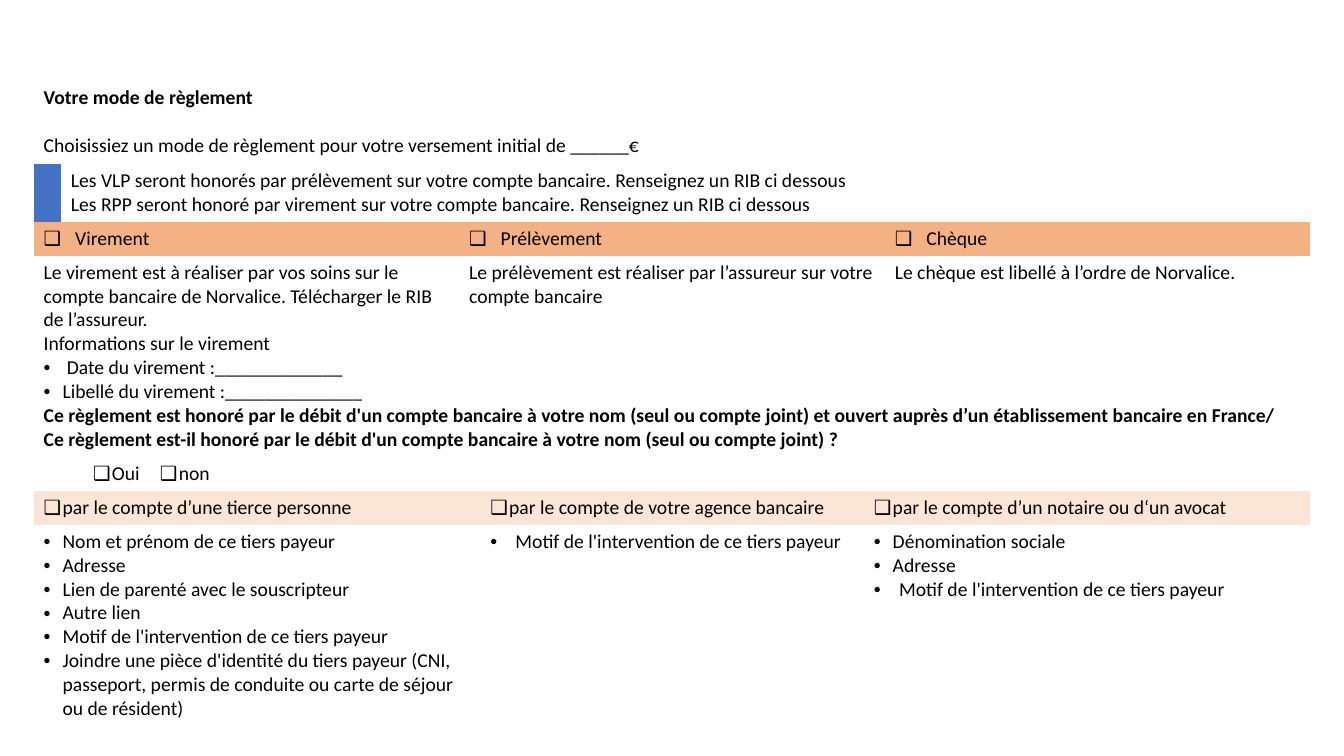
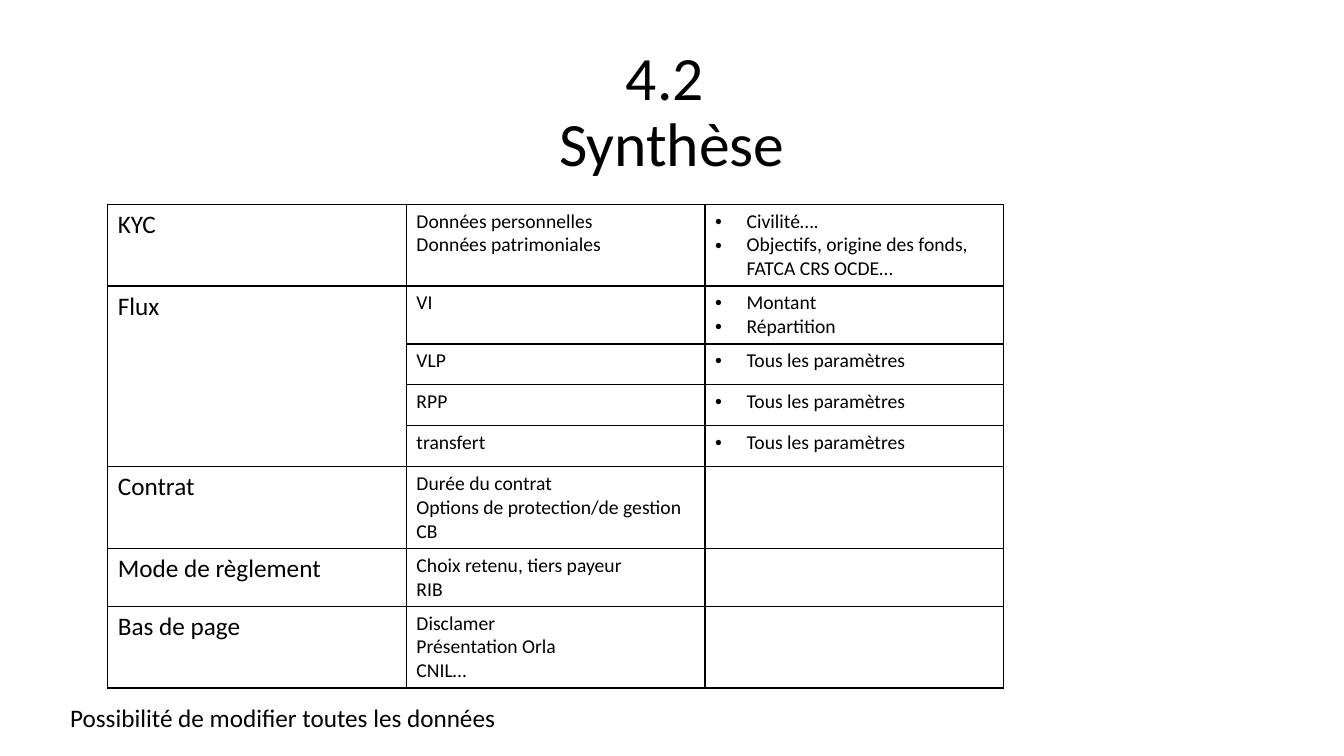
"""Build the payment method form and the summary slide."""
from dataclasses import dataclass

import lxml.etree
import pptx
import pptx.dml.color
import pptx.enum.text
import pptx.oxml.ns
import pptx.util

Pt = pptx.util.Pt
qn = pptx.oxml.ns.qn
ALIGN = pptx.enum.text.PP_ALIGN


@dataclass(frozen=True)
class Theme:
    """Colours, fonts and sizes shared by the slides."""
    ink: str = "000000"
    marker: str = "4472C4"
    choice: str = "F4B183"
    payer: str = "FBE5D6"
    font: str = "Calibri"
    bullet_font: str = "Arial"
    title: int = 44
    label: int = 18
    body: int = 14
    border: int = 1
    no_grid: str = "{2D5ABB26-0587-4C30-8999-92F81FD0307C}"


@dataclass(frozen=True)
class Box:
    """A rectangle in points."""
    left: float
    top: float
    width: float
    height: float

    def lengths(self):
        """Return the four lengths ready for a shape."""
        return [Pt(value) for value in (self.left, self.top, self.width, self.height)]


@dataclass(frozen=True)
class Line:
    """One paragraph and its look."""
    text: str
    bullet: str = ""
    indent: float = 0
    bold: bool = False
    size: int = Theme.body
    align: ALIGN = ALIGN.LEFT
    before: float = 0


@dataclass(frozen=True)
class Cell:
    """One table cell, with its spans and fill."""
    row: int
    column: int
    lines: tuple = ()
    across: int = 1
    down: int = 1
    fill: str = ""


THEME = Theme()


def plain(*texts):
    """Return unmarked lines."""
    return tuple(Line(text) for text in texts)


def dots(*texts, indent=13.5):
    """Return lines with round bullets."""
    return tuple(Line(text, "•", indent) for text in texts)


def tick(text, indent=13.5, align=ALIGN.LEFT):
    """Return one line with a check box."""
    return (Line(text, "❑", indent, align=align),)


def format_runs(para, size, bold=False):
    """Apply the theme font to the runs of a paragraph."""
    for span in para.runs:
        span.font.name = THEME.font
        span.font.size = Pt(size)
        span.font.bold = bold
        span.font.color.rgb = pptx.dml.color.RGBColor.from_string(THEME.ink)


def write_lines(frame, lines):
    """Write lines into a text frame."""
    frame.text = "\n".join(line.text for line in lines)
    for para, line in zip(frame.paragraphs, lines):
        para.alignment = line.align
        if line.before:
            para.space_before = Pt(line.before)
        if line.bullet:
            properties = para._p.get_or_add_pPr()
            properties.set("marL", str(int(Pt(line.indent))))
            properties.set("indent", str(-int(Pt(line.indent))))
            lxml.etree.SubElement(properties, qn("a:buFont"), typeface=THEME.bullet_font)
            lxml.etree.SubElement(properties, qn("a:buChar"), char=line.bullet)
        format_runs(para, line.size, line.bold)


def draw_borders(cell):
    """Draw the four borders of a table cell."""
    properties = cell._tc.get_or_add_tcPr()
    for side in ("a:lnL", "a:lnR", "a:lnT", "a:lnB"):
        edge = lxml.etree.SubElement(properties, qn(side), w=str(int(Pt(THEME.border))))
        fill = lxml.etree.SubElement(edge, qn("a:solidFill"))
        lxml.etree.SubElement(fill, qn("a:srgbClr"), val=THEME.ink)


def add_grid(page, box, columns, rows, cells, bordered=False):
    """Place a table whose columns and rows have the given lengths."""
    table = page.shapes.add_table(len(rows), len(columns), *box.lengths()).table
    table.first_row = False
    table.horz_banding = False
    table._tbl.tblPr.find(qn("a:tableStyleId")).text = THEME.no_grid
    for column, width in zip(table.columns, columns):
        column.width = Pt(width)
    for row, height in zip(table.rows, rows):
        row.height = Pt(height)
    for cell in table.iter_cells():
        if bordered:
            draw_borders(cell)
        cell.fill.background()
    for item in cells:
        cell = table.cell(item.row, item.column)
        if item.across > 1 or item.down > 1:
            cell.merge(table.cell(item.row + item.down - 1, item.column + item.across - 1))
        if item.fill:
            cell.fill.solid()
            cell.fill.fore_color.rgb = pptx.dml.color.RGBColor.from_string(item.fill)
        if item.lines:
            write_lines(cell.text_frame, item.lines)


def add_payment_choice(page, box):
    """Place the table of payment methods."""
    intro = (Line("Votre mode de règlement", bold=True),
             Line("Choisissiez un mode de règlement pour votre versement initial de ______€",
                  before=17))
    transfer = (plain("Le virement est à réaliser par vos soins sur le compte bancaire de "
                      "Norvalice. Télécharger le RIB de l’assureur.",
                      "Informations sur le virement")
                + dots("Date du virement :_____________", indent=16.5)
                + dots("Libellé du virement :______________"))
    third = box.width / 3
    marker = 19.5
    add_grid(page, box, (marker, third - marker, third, third), (59, 41, 24, 107), (
        Cell(0, 0, intro, across=4),
        Cell(1, 0, fill=THEME.marker),
        Cell(1, 1, plain(
            "Les VLP seront honorés par prélèvement sur votre compte bancaire. "
            "Renseignez un RIB ci dessous",
            "Les RPP seront honoré par virement sur votre compte bancaire. "
            "Renseignez un RIB ci dessous"), across=3),
        Cell(2, 0, tick("Virement", 22.5), across=2, fill=THEME.choice),
        Cell(2, 2, tick("Prélèvement", 22.5), fill=THEME.choice),
        Cell(2, 3, tick("Chèque", 22.5), fill=THEME.choice),
        Cell(3, 0, transfer, across=2),
        Cell(3, 2, plain("Le prélèvement est réaliser par l’assureur sur votre compte bancaire")),
        Cell(3, 3, plain("Le chèque est libellé à l’ordre de Norvalice.")),
    ))


def add_payer_choice(page, box):
    """Place the table of third-party payers."""
    question = ("Ce règlement est honoré par le débit d'un compte bancaire à votre nom "
                "(seul ou compte joint) et ouvert auprès d’un établissement bancaire en "
                "France/ Ce règlement est-il honoré par le débit d'un compte bancaire à "
                "votre nom (seul ou compte joint) ?")
    reason = "Motif de l'intervention de ce tiers payeur"
    person = dots("Nom et prénom de ce tiers payeur", "Adresse",
                  "Lien de parenté avec le souscripteur", "Autre lien", reason,
                  "Joindre une pièce d'identité du tiers payeur (CNI, passeport, permis "
                  "de conduite ou carte de séjour ou de résident)")
    add_grid(page, box, (83, 236, 274, box.width - 593), (41, 24, 24, 144), (
        Cell(0, 0, (Line(question, bold=True),), across=4),
        Cell(1, 0, tick("Oui", align=ALIGN.RIGHT)),
        Cell(1, 1, tick("non"), across=3),
        Cell(2, 0, tick("par le compte d’une tierce personne"), across=2, fill=THEME.payer),
        Cell(2, 2, tick("par le compte de votre agence bancaire"), fill=THEME.payer),
        Cell(2, 3, tick("par le compte d’un notaire ou d‘un avocat"), fill=THEME.payer),
        Cell(3, 0, person, across=2),
        Cell(3, 2, dots(reason, indent=18)),
        Cell(3, 3, dots("Dénomination sociale", "Adresse") + dots(reason, indent=18)),
    ))


def add_title(page, box, text):
    """Move and format the title placeholder."""
    title = page.shapes.title
    title.left, title.top, title.width, title.height = box.lengths()
    frame = title.text_frame
    frame.text = text
    frame.auto_size = pptx.enum.text.MSO_AUTO_SIZE.NONE
    frame.vertical_anchor = pptx.enum.text.MSO_ANCHOR.MIDDLE
    para = frame.paragraphs[0]
    para.alignment = ALIGN.CENTER
    para.line_spacing = 0.9
    format_runs(para, THEME.title)


def add_summary(page, box):
    """Place the bordered summary table."""
    settings = ("Tous les paramètres",)
    entries = (
        ("KYC", 1, ("Données personnelles", "Données patrimoniales"),
         ("Civilité….", "Objectifs, origine des fonds, FATCA CRS OCDE…")),
        ("Flux", 4, ("VI",), ("Montant", "Répartition")),
        ("", 1, ("VLP",), settings),
        ("", 1, ("RPP",), settings),
        ("", 1, ("transfert",), settings),
        ("Contrat", 1, ("Durée du contrat", "Options de protection/de gestion", "CB"), ()),
        ("Mode de règlement", 1, ("Choix retenu, tiers payeur", "RIB"), ()),
        ("Bas de page", 1, ("Disclamer", "Présentation Orla", "CNIL…"), ()),
    )
    cells = []
    for row, (label, down, subjects, details) in enumerate(entries):
        if label:
            cells.append(Cell(row, 0, (Line(label, size=THEME.label),), down=down))
        cells.append(Cell(row, 1, plain(*subjects)))
        cells.append(Cell(row, 2, dots(*details, indent=22.5)))
    tall, medium, low = 58.3, 41.2, 29.3
    rows = (tall, medium, low, low, low, tall, medium, tall)
    add_grid(page, box, [box.width / 3] * 3, rows, cells, bordered=True)


def add_remark(page, box, text):
    """Place the remark below the table."""
    frame = page.shapes.add_textbox(*box.lengths()).text_frame
    frame.word_wrap = True
    frame.auto_size = pptx.enum.text.MSO_AUTO_SIZE.SHAPE_TO_FIT_TEXT
    write_lines(frame, (Line(text, size=THEME.label),))


def build_payment_page(deck):
    """Add the payment method form."""
    page = deck.slides.add_slide(deck.slide_layouts.get_by_name("Blank"))
    add_payment_choice(page, Box(24, 58, 912, 231))
    add_payer_choice(page, Box(24, 285, 912, 233))


def build_summary_page(deck):
    """Add the summary slide."""
    page = deck.slides.add_slide(deck.slide_layouts.get_by_name("Title Only"))
    add_title(page, Box(66, 29, 828, 104), "4.2 \vSynthèse")
    add_summary(page, Box(77, 146, 640, 345))
    add_remark(page, Box(43, 498, 535, 29), "Possibilité de modifier toutes les données")


def main():
    """Build and save the deck."""
    deck = pptx.Presentation()
    deck.slide_width, deck.slide_height = Pt(960), Pt(540)
    build_payment_page(deck)
    build_summary_page(deck)
    deck.save("out.pptx")


if __name__ == "__main__":
    main()
